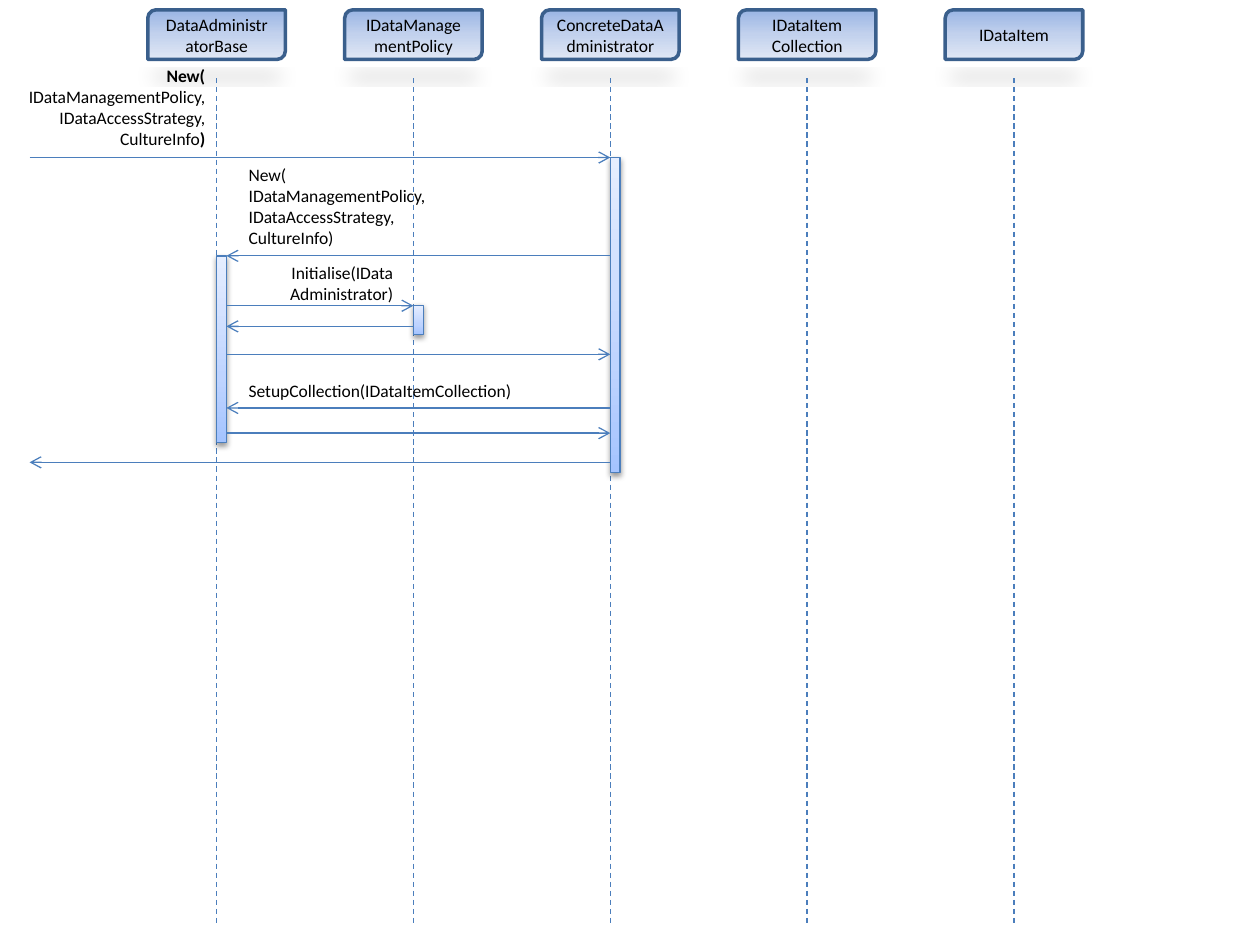
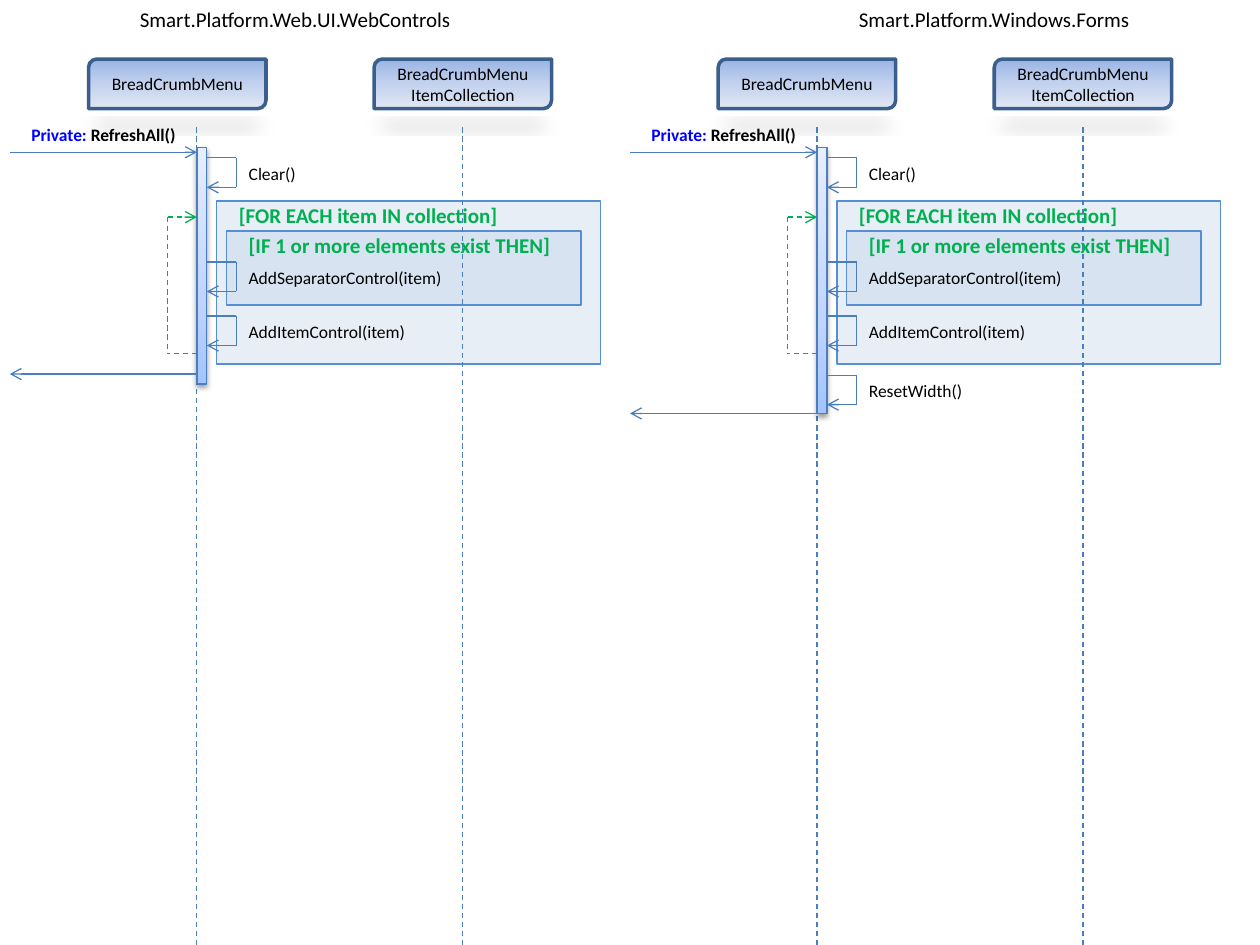
from dataclasses import dataclass
from typing import Optional

from lxml import etree
from pptx import Presentation
from pptx.dml.color import RGBColor
from pptx.enum import dml, shapes, text
from pptx.oxml import ns
from pptx.util import Pt

# Shared style
FONT = "Calibri"
BLACK = RGBColor(0x00, 0x00, 0x00)
BLUE = RGBColor(0x00, 0x00, 0xFF)
GREEN = RGBColor(0x00, 0xB0, 0x50)
STEEL = RGBColor(0x4B, 0x7E, 0xBC)
NAVY = RGBColor(0x3A, 0x5F, 0x8C)
SKY = RGBColor(0x55, 0x8E, 0xD5)
PALE = RGBColor(0xB9, 0xCD, 0xE5)
HEAD_FILL = ((0, RGBColor(0x9A, 0xB5, 0xE4)), (50, RGBColor(0xC2, 0xD1, 0xED)),
             (100, RGBColor(0xE1, 0xE8, 0xF5)))
BAR_FILL = ((0, RGBColor(0xA4, 0xC4, 0xFF)), (35, RGBColor(0xBF, 0xD4, 0xFF)),
            (100, RGBColor(0xE6, 0xEE, 0xFF)))
LEFT, MID, RIGHT = text.PP_ALIGN.LEFT, text.PP_ALIGN.CENTER, text.PP_ALIGN.RIGHT

HEAD_H = 28.35
BAR_W = 5.65
STEM_GAP = 39.1   # from the top of a head to its lifeline
STEM_H = 483.5


@dataclass(frozen=True)
class Run:
    text: str
    bold: bool = False
    color: RGBColor = BLACK


@dataclass(frozen=True)
class Box:
    left: float
    top: float
    wide: float
    high: float

    def pts(self) -> tuple:
        return Pt(self.left), Pt(self.top), Pt(self.wide), Pt(self.high)


@dataclass(frozen=True)
class Life:
    lines: tuple
    left: float
    stem: float
    bar: Optional[tuple] = None   # top and height


@dataclass(frozen=True)
class Call:
    start: float
    end: float
    y: float


@dataclass(frozen=True)
class Note:
    lines: tuple
    box: Box
    align: text.PP_ALIGN = LEFT


# Drawing tools
def add(parent, tag: str, **attrs):
    node = etree.SubElement(parent, ns.qn(tag))
    for key, value in attrs.items():
        node.set(key, str(value))
    return node


def write(frame, lines: tuple, *, size: float = 10, color: RGBColor = BLACK,
          bold: bool = False, align=LEFT) -> None:
    """Each line is a string or a tuple of runs."""
    frame.word_wrap = True
    for i, line in enumerate(lines):
        para = frame.paragraphs[0] if i == 0 else frame.add_paragraph()
        para.alignment = align
        for part in (Run(line, bold, color),) if isinstance(line, str) else line:
            run = para.add_run()
            run.text = part.text
            run.font.name, run.font.size = FONT, Pt(size)
            run.font.bold, run.font.color.rgb = part.bold, part.color


def label(slide, lines: tuple, box: Box, **form) -> None:
    frame = slide.shapes.add_textbox(*box.pts()).text_frame
    write(frame, lines, **form)
    frame.auto_size = text.MSO_AUTO_SIZE.SHAPE_TO_FIT_TEXT


def line(slide, x1: float, y1: float, x2: float, y2: float, *,
         color: RGBColor = STEEL, dash: bool = False, arrow: bool = False) -> None:
    link = slide.shapes.add_connector(
        shapes.MSO_CONNECTOR.STRAIGHT, Pt(x1), Pt(y1), Pt(x2), Pt(y2))
    link.line.color.rgb, link.line.width = color, Pt(0.75)
    if dash:
        link.line.dash_style = dml.MSO_LINE.DASH
    props = link._element.spPr
    if arrow:
        add(props.find(ns.qn("a:ln")), "a:tailEnd", type="arrow")
    add(props, "a:effectLst")


def block(slide, kind, box: Box, edge: RGBColor, width: float):
    shape = slide.shapes.add_shape(kind, *box.pts())
    shape.line.color.rgb, shape.line.width = edge, Pt(width)
    shape.shadow.inherit = False
    return shape


def blend(shape, stops: tuple, angle: float) -> None:
    shape.fill.gradient()
    shape.fill.gradient_angle = angle
    rows = shape._element.spPr.find(".//" + ns.qn("a:gsLst"))
    for old in list(rows):
        rows.remove(old)
    for pos, color in stops:
        add(add(rows, "a:gs", pos=pos * 1000), "a:srgbClr", val=color)


def shade(shape, blur: float, dist: float, alpha: int, **scale) -> None:
    glow = add(shape._element.spPr.find(ns.qn("a:effectLst")), "a:outerShdw",
               blurRad=Pt(blur), dist=Pt(dist), dir=5400000, **scale, rotWithShape=0)
    add(add(glow, "a:srgbClr", val=BLACK), "a:alpha", val=alpha * 1000)


def draw_life(slide, life: Life, top: float, wide: float) -> None:
    head = block(slide, shapes.MSO_SHAPE.ROUND_2_DIAG_RECTANGLE,
                 Box(life.left, top, wide, HEAD_H), NAVY, 2)
    blend(head, HEAD_FILL, 270)
    shade(head, 12, 7, 15, sx=90000, sy=-19000)
    head.text_frame.vertical_anchor = text.MSO_ANCHOR.MIDDLE
    write(head.text_frame, life.lines, align=MID)
    start = top + STEM_GAP
    line(slide, life.stem, start, life.stem, start + STEM_H, dash=True)
    if life.bar:
        y, high = life.bar
        bar = block(slide, shapes.MSO_SHAPE.RECTANGLE,
                    Box(life.stem, y, BAR_W, high), STEEL, 0.75)
        blend(bar, BAR_FILL, 90)
        shade(bar, 3.1, 1.6, 38)


def draw_call(slide, call: Call) -> None:
    line(slide, call.start, call.y, call.end, call.y, arrow=True)


def frame_box(slide, title: str, box: Box, text_left: float) -> None:
    area = block(slide, shapes.MSO_SHAPE.RECTANGLE, box, SKY, 1)
    area.fill.solid()
    area.fill.fore_color.rgb = PALE
    tint = area._element.spPr.find(ns.qn("a:solidFill"))[0]
    add(tint, "a:alpha", val=33000)
    label(slide, (title,), Box(text_left, box.top - 2.6, 196.9, 21.8),
          size=12, color=GREEN, bold=True)


def self_call(slide, name: str, left: float, y: float, wide: float) -> None:
    right, end = left + 16.9, y + 16.85
    line(slide, right, y, left, y)
    line(slide, right, y, right, end)
    line(slide, right, end, left, end, arrow=True)
    label(slide, (name,), Box(right, y - 0.5, wide, 19.4))


# Slide 1: creating a data administrator
def build_admin(slide) -> None:
    base, policy, admin, items = (123.75 + 112.5 * i for i in range(4))
    item, half = 579.4, 39.3
    outer, inner = 16.9, base + BAR_W
    lives = (
        Life(("IDataItem", "Collection"), items - half, items),
        Life(("IDataItem",), item - half, item),
        Life(("ConcreteDataAdministrator",), admin - half, admin, (90, 180)),
        Life(("DataAdministratorBase",), base - half, base, (146.2, 106.6)),
        Life(("IDataManagementPolicy",), policy - half, policy, (174.4, 16.8)),
    )
    calls = (
        Call(outer, admin, 90), Call(admin, outer, 264.2),
        Call(admin, inner, 146.2), Call(inner, admin, 202.5),
        Call(inner, policy, 174.7), Call(policy, inner, 186.5),
        Call(admin, inner, 233.1), Call(inner, admin, 247.5),
    )
    args = "IDataManagementPolicy,", "IDataAccessStrategy,"
    notes = (
        Note(((Run("New(", True),), *args, (Run("CultureInfo"), Run(")", True))),
             Box(0, 33.75, 124.3, 55.7), RIGHT),
        Note(("New(", *args, "CultureInfo)"), Box(135, 90, 124.3, 55.7)),
        Note(("Initialise(IDataAdministrator)",), Box(157.5, 146.2, 74.2, 31.5), RIGHT),
        Note(("SetupCollection(IDataItemCollection)",), Box(135, 213.75, 202.5, 19.4)),
    )
    for life in lives:
        draw_life(slide, life, 5.65, 2 * half)
    for call in calls:
        draw_call(slide, call)
    for note in notes:
        label(slide, note.lines, note.box, align=note.align)


# Slide 2: refreshing a menu on two platforms
@dataclass(frozen=True)
class Panel:
    title: str
    title_left: float
    shift: float
    head_left: float
    bar_high: float
    extra: tuple = ()


def draw_panel(slide, panel: Panel) -> None:
    dx = panel.shift
    stem, edge = dx + 112.5, dx + 118.15
    outer, bar_top = dx + 5.6, 84.4
    frame_box(slide, "[FOR EACH item IN collection]",
              Box(dx + 123.75, 115, 219.4, 93), dx + 129.4)
    frame_box(slide, "[IF 1 or more elements exist THEN]",
              Box(dx + 129.4, 132, 202.5, 42.2), dx + 135)
    lives = (
        Life(("BreadCrumbMenu",), panel.head_left, stem, (bar_top, panel.bar_high)),
        Life(("BreadCrumbMenu", "ItemCollection"), dx + 213.75, dx + 264.4),
    )
    for life in lives:
        draw_life(slide, life, 33.75, 101.4)

    # Entry and return
    draw_call(slide, Call(outer, stem, 87))
    label(slide, ((Run("Private: ", True, BLUE), Run("RefreshAll()", True)),),
          Box(dx - 11.2, 67.5, 118.6, 19.4), align=RIGHT)
    back = 213.75 if not panel.extra else 236.25
    draw_call(slide, Call(stem, outer, back))

    # Steps
    steps = (("Clear()", 90.2, 46.3), ("AddSeparatorControl(item)", 149.7, 146.2),
             ("AddItemControl(item)", 180.6, 146.2))
    for name, y, wide in steps + panel.extra:
        self_call(slide, name, edge, y, wide)

    # Loop back to the next item
    turn, top, low = dx + 95.8, 124.1, 202.2
    line(slide, turn, top, stem, top, color=GREEN, dash=True, arrow=True)
    line(slide, turn, top, turn, low, color=GREEN, dash=True)
    line(slide, stem, low, turn, low, color=GREEN, dash=True)

    label(slide, (panel.title,), Box(panel.title_left, 0, 236.2, 21.8),
          size=12, align=MID)


def build_menus(slide) -> None:
    panels = (
        Panel("Smart.Platform.Web.UI.WebControls", 50.6, 0, 50.6, 135),
        Panel("Smart.Platform.Windows.Forms", 450, 354.4, 410.4, 152,
              (("ResetWidth()", 214.4, 146.2),)),
    )
    for panel in panels:
        draw_panel(slide, panel)


def main() -> None:
    deck = Presentation()
    deck.slide_width, deck.slide_height = Pt(720), Pt(540)
    for build in (build_admin, build_menus):
        build(deck.slides.add_slide(deck.slide_layouts[6]))
    deck.save("out.pptx")


if __name__ == "__main__":
    main()
